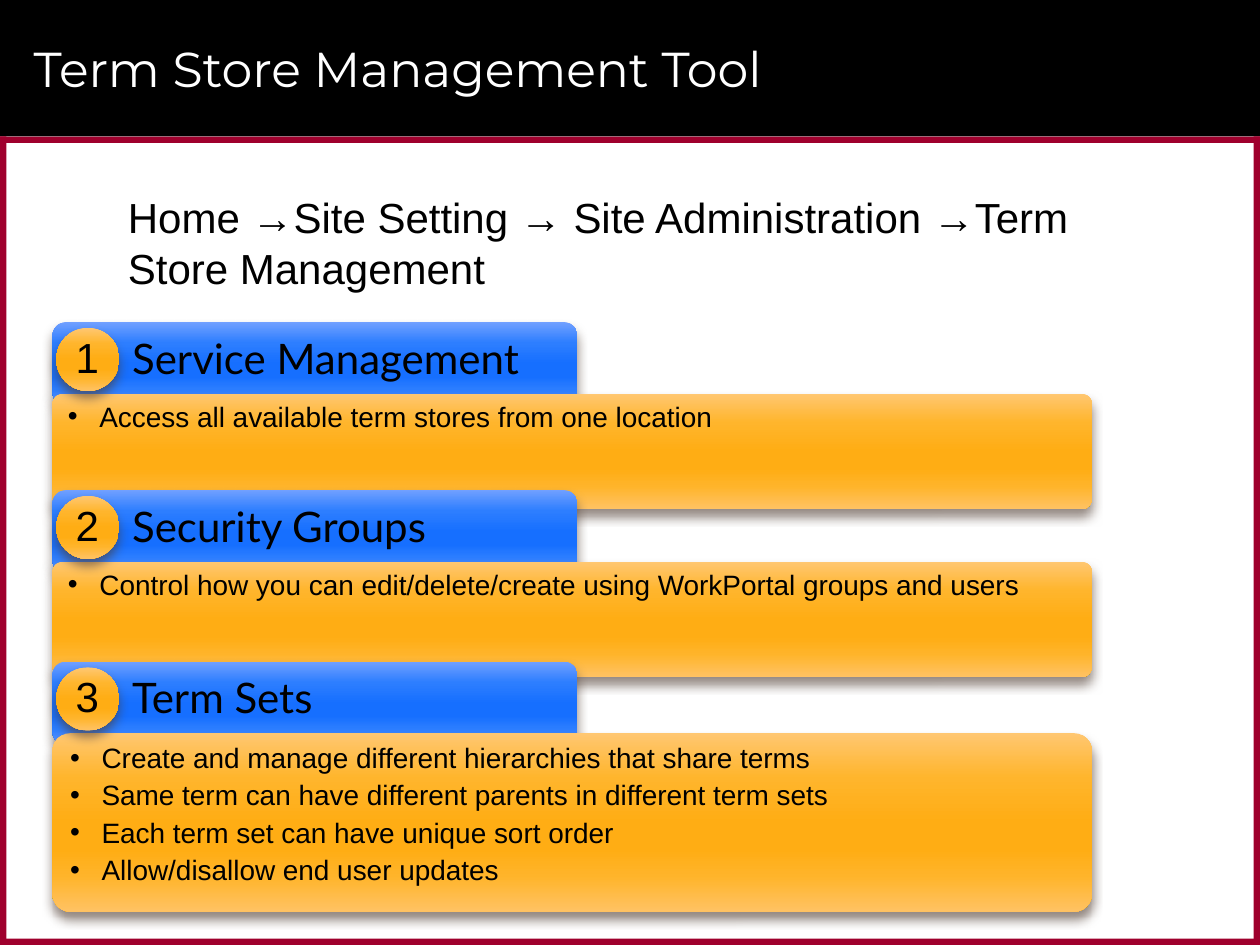
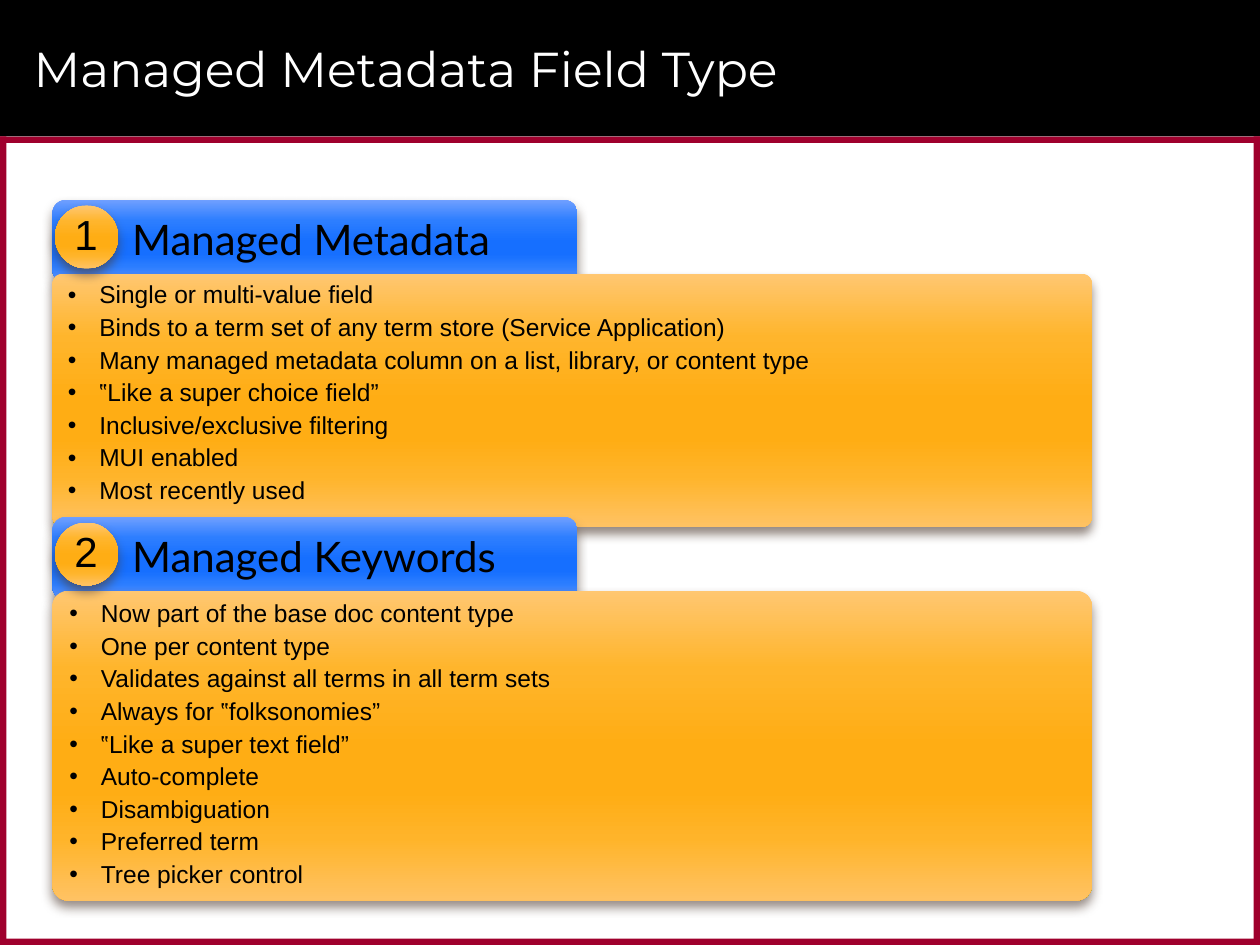
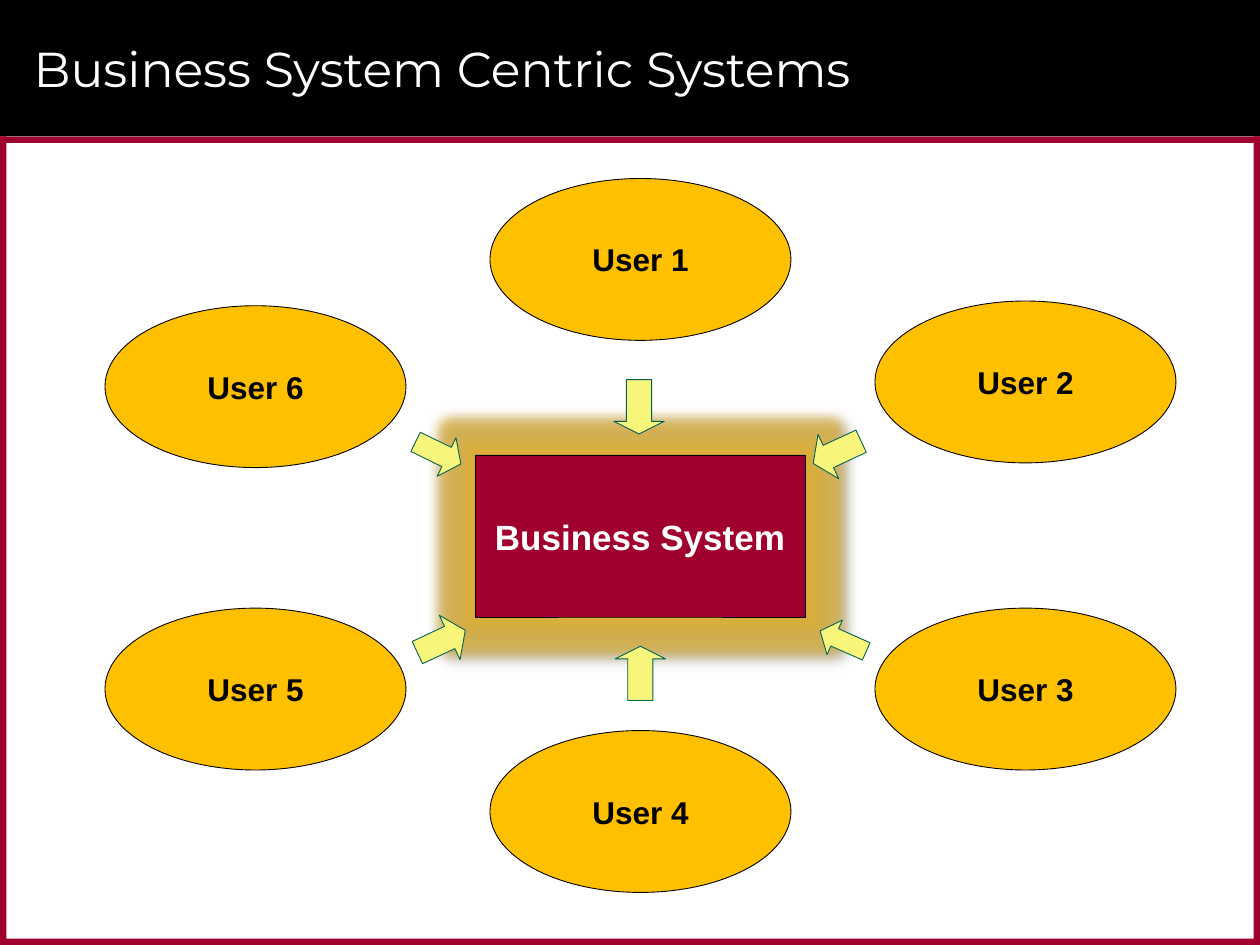
from lxml.etree import SubElement
from pptx import Presentation
from pptx.dml.color import RGBColor
from pptx.enum.shapes import MSO_SHAPE as Shape
from pptx.enum.text import MSO_ANCHOR as Anchor, PP_ALIGN as Align
from pptx.oxml.ns import qn
from pptx.util import Pt

COLORS = {
    "black": "000000", "white": "FFFFFF", "crimson": "9F002D",
    "user": "FFC000", "arrow": "F8F57B", "arrow line": "006157",
    "card shadow": "4E3B30", "glow": "DDAF35",
}
STOPS = (0, 25, 50, 65, 80, 100)
BLUE = ("71A0FF", "2D7EFF", "166FFF", "166FFF", "2B7DFF", "6398FF")
ORANGE = ("FFC771", "FFB52C", "FFAD14", "FFAD14", "FFB42A", "FFC263")

WIDTH, HEIGHT, BAND, EDGE = 720, 540, 78, 3.6
CARD_LEFT, HEADER_SIZE, BODY_WIDTH, BADGE = 30, (300, 48), 594, 36

ROUTE = ("Home →Site Setting → Site Administration →Term", "Store Management")

# Each card: heading, top, body height, corner ratio, bullets
TERM_STORE = {
    "title": "Term Store Management Tool",
    "body offset": 41, "badge left": 32.2, "size": 16,
    "anchor": Anchor.TOP, "header inset": 3.6,
    "cards": [
        ("Service Management", 184, 66, 0.09,
         ["Access all available term stores from one location"]),
        ("Security Groups", 280, 66, 0.09,
         ["Control how you can edit/delete/create using WorkPortal groups and users"]),
        ("Term Sets", 378, 102, 0.1,
         ["Create and manage different hierarchies that share terms",
          "Same term can have different parents in different term sets",
          "Each term set can have unique sort order",
          "Allow/disallow end user updates"]),
    ],
}
FIELD_TYPE = {
    "title": "Managed Metadata Field Type",
    "body offset": 42.4, "badge left": 31.5, "size": 14,
    "anchor": Anchor.MIDDLE, "header inset": 0,
    "cards": [
        ("Managed Metadata", 114, 144.7, 0.04,
         ["Single or multi-value field",
          "Binds to a term set of any term store (Service Application)",
          "Many managed metadata column on a list, library, or content type",
          "‟Like a super choice field”",
          "Inclusive/exclusive filtering",
          "MUI enabled",
          "Most recently used"]),
        ("Managed Keywords", 295.2, 177, 0.05,
         ["Now part of the base doc content type",
          "One per content type",
          "Validates against all terms in all term sets",
          "Always for ‟folksonomies”",
          "‟Like a super text field”",
          "Auto-complete",
          "Disambiguation",
          "Preferred term",
          "Tree picker control"]),
    ],
}
SYSTEM_TITLE = "Business System Centric Systems"
SYSTEM_BOX = (271.5, 260, 188.6, 92.6)
USER_SIZE = (172, 92.5)
USERS = [
    ("User 1", 280, 102), ("User 2", 500, 172), ("User 3", 500, 347.5),
    ("User 4", 280, 417.5), ("User 5", 60, 347.5), ("User 6", 60, 174.7),
]
# Box, clockwise turn from pointing down, head ratio
ARROWS = [
    ((350.8, 217, 28.8, 31), 0, 0.25), ((464.4, 243.4, 28, 30.2), 65, 0.34),
    ((471, 352, 21.6, 28.8), 114, 0.42), ((351.5, 369.3, 28.8, 31), 180, 0.25),
    ((238.2, 351.4, 28, 30.2), 245, 0.35), ((238.2, 244.4, 24.5, 28.8), 296, 0.37),
]


def rgb(name):
    return RGBColor.from_string(COLORS[name])


def add_figure(slide, kind, box, fill, line=None, ratios=()):
    """Add a preset shape; fill is a colour name or a tuple of gradient hexes."""
    figure = slide.shapes.add_shape(kind, *map(Pt, box))
    figure.shadow.inherit = False
    for position, ratio in enumerate(ratios):
        figure.adjustments[position] = ratio
    if isinstance(fill, tuple):
        figure.fill.gradient()
        figure.fill.gradient_angle = 270
        stops = figure._element.spPr.find(qn("a:gradFill")).find(qn("a:gsLst"))
        for stop in list(stops):
            stops.remove(stop)
        for position, color in zip(STOPS, fill):
            stop = SubElement(stops, qn("a:gs"), pos=str(position * 1000))
            SubElement(stop, qn("a:srgbClr"), val=color)
    else:
        figure.fill.solid()
        figure.fill.fore_color.rgb = rgb(fill)
    if line:
        figure.line.color.rgb = rgb(line)
        figure.line.width = Pt(0.5)
    else:
        figure.line.fill.background()
    return figure


def add_effect(figure, tag, color, opacity, **lengths):
    effects = figure._element.spPr.find(qn("a:effectLst"))
    effect = SubElement(effects, qn(tag), {k: str(v) for k, v in lengths.items()})
    tint = SubElement(effect, qn("a:srgbClr"), val=COLORS[color])
    SubElement(tint, qn("a:alpha"), val=str(opacity * 1000))


def set_frame(holder, anchor=Anchor.TOP, insets=(7.2, 3.6, 7.2, 3.6), wrap=True):
    frame = holder.text_frame
    frame.word_wrap = wrap
    frame.vertical_anchor = anchor
    (frame.margin_left, frame.margin_top,
     frame.margin_right, frame.margin_bottom) = map(Pt, insets)
    return frame


def add_run(paragraph, text, size, font="Arial", color="black", bold=False,
            align=Align.LEFT):
    paragraph.alignment = align
    run = paragraph.add_run()
    run.text = text
    run.font.size, run.font.name, run.font.bold = Pt(size), font, bold
    run.font.color.rgb = rgb(color)


def add_label(slide, box, **frame_options):
    """Add a text box and return its first paragraph."""
    label = slide.shapes.add_textbox(*map(Pt, box))
    return set_frame(label, **frame_options).paragraphs[0]


def add_bullets(frame, bullets, size):
    for position, text in enumerate(bullets):
        paragraph = frame.add_paragraph() if position else frame.paragraphs[0]
        properties = paragraph._p.get_or_add_pPr()
        properties.set("marL", str(Pt(18)))
        properties.set("indent", str(-Pt(18)))
        SubElement(properties, qn("a:buFont"), typeface="Arial")
        SubElement(properties, qn("a:buChar"), char="•")
        paragraph.line_spacing = 0.9
        paragraph.space_before = Pt(size / 4 if position else 0)
        add_run(paragraph, text, size)


def start_slide(deck, title):
    """Add a blank slide with the title band and the crimson border."""
    slide = deck.slides.add_slide(deck.slide_layouts[6])
    add_figure(slide, Shape.RECTANGLE, (0, 0, WIDTH, BAND), "black")
    for box in (
        (0, BAND, WIDTH, EDGE), (0, HEIGHT - EDGE, WIDTH, EDGE),
        (WIDTH - EDGE, BAND, EDGE, HEIGHT - BAND), (0, BAND, EDGE, HEIGHT - BAND),
    ):
        add_figure(slide, Shape.RECTANGLE, box, "crimson")
    heading = add_label(slide, (12.2, 6, 678, 66), anchor=Anchor.MIDDLE)
    add_run(heading, title, 28, "Montserrat", "white")
    return slide


def add_card_part(slide, kind, box, fill, ratios=()):
    part = add_figure(slide, kind, box, fill, ratios=ratios)
    add_effect(part, "a:outerShdw", "card shadow", 60, blurRad=Pt(6), dist=Pt(4),
               dir=90 * 60000, algn="ctr", rotWithShape=0)
    return part


def add_cards(slide, content):
    for number, (heading, top, height, ratio, bullets) in enumerate(content["cards"], 1):
        header = add_card_part(slide, Shape.ROUNDED_RECTANGLE,
                               (CARD_LEFT, top, *HEADER_SIZE), BLUE)
        frame = set_frame(header, content["anchor"],
                          (43.2, content["header inset"], 7.2, 3.6))
        add_run(frame.paragraphs[0], heading, 24, "Lato")

        body = add_card_part(
            slide, Shape.ROUNDED_RECTANGLE,
            (CARD_LEFT, top + content["body offset"], BODY_WIDTH, height),
            ORANGE, [ratio])
        add_bullets(set_frame(body), bullets, content["size"])

        left = content["badge left"]
        add_card_part(slide, Shape.OVAL, (left, top + 3.4, BADGE, BADGE), ORANGE)
        digit = add_label(slide, (left + 11, top + 5.2, 13, 29), anchor=Anchor.MIDDLE,
                          insets=(0, 0, 0, 0), wrap=False)
        add_run(digit, str(number), 24)


def add_node(slide, kind, box, fill, text, size, color):
    node = add_figure(slide, kind, box, fill, "black")
    frame = set_frame(node, Anchor.MIDDLE, (3.6,) * 4, wrap=False)
    add_run(frame.paragraphs[0], text, size, color=color, bold=True, align=Align.CENTER)
    return node


def add_system_map(slide):
    system = add_node(slide, Shape.RECTANGLE, SYSTEM_BOX, "crimson",
                      "Business System", 20, "white")
    add_effect(system, "a:glow", "glow", 75, rad=Pt(14))
    add_effect(system, "a:outerShdw", "black", 40, blurRad=Pt(4), dist=Pt(3),
               dir=45 * 60000, algn="tl", rotWithShape=0)
    for user, left, top in USERS:
        add_node(slide, Shape.OVAL, (left, top, *USER_SIZE), "user", user, 18, "black")
    for box, turn, head in ARROWS:
        arrow = add_figure(slide, Shape.DOWN_ARROW, box, "arrow", "arrow line", (0.5, head))
        arrow.rotation = turn


def main():
    deck = Presentation()
    deck.slide_width, deck.slide_height = Pt(WIDTH), Pt(HEIGHT)

    term_store = start_slide(deck, TERM_STORE["title"])
    route = add_label(term_store, (66, 106, 624, 65.5))
    add_run(route, ROUTE[0], 24)
    route.add_line_break()
    add_run(route, ROUTE[1], 24)
    add_cards(term_store, TERM_STORE)

    add_cards(start_slide(deck, FIELD_TYPE["title"]), FIELD_TYPE)
    add_system_map(start_slide(deck, SYSTEM_TITLE))
    deck.save("out.pptx")


if __name__ == "__main__":
    main()
